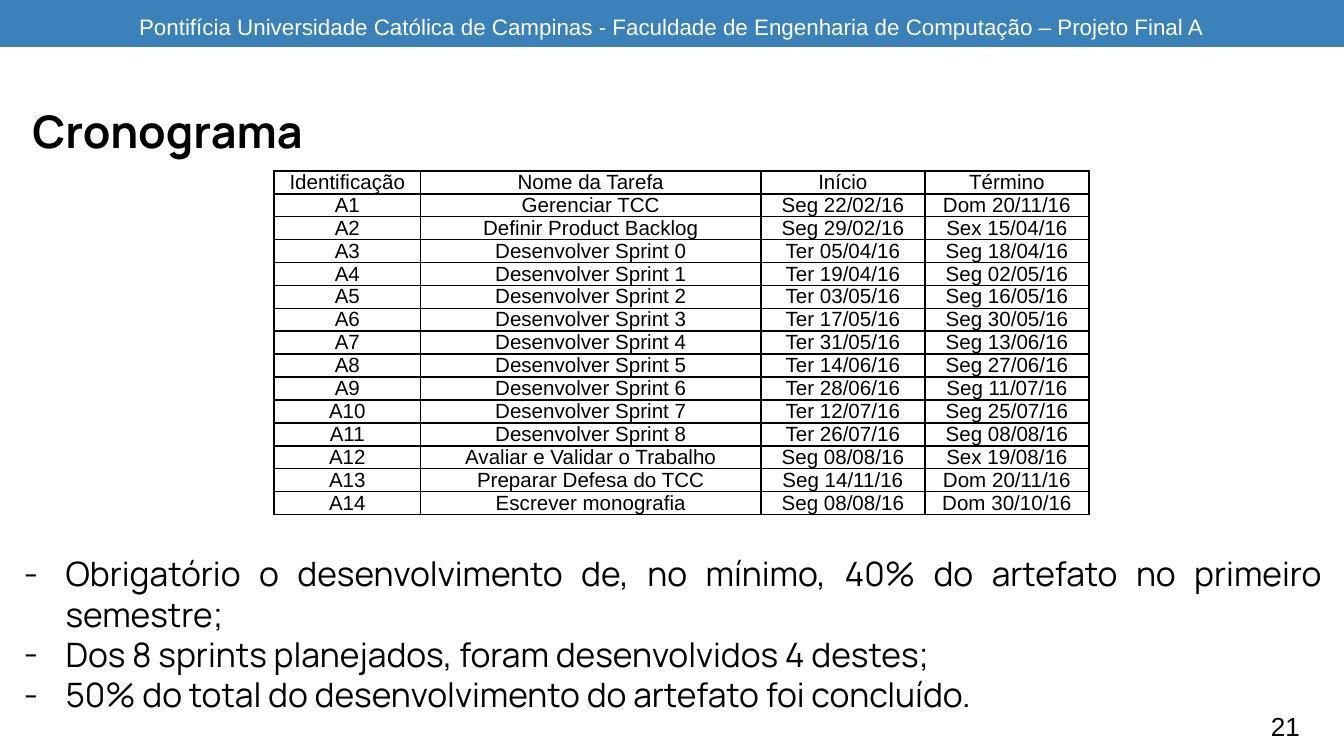
from lxml import etree
from pptx import Presentation
from pptx.dml.color import RGBColor
from pptx.enum import shapes, text
from pptx.oxml import ns
from pptx.util import Cm, Pt

BLACK, WHITE, BLUE = "000000", "FFFFFF", "3A81BA"
HEADING = "Manrope"
PLAIN = "Arial"

HEADER = ("Pontifícia Universidade Católica de Campinas - "
          "Faculdade de Engenharia de Computação – Projeto Final A")
SCHEDULE = [
    ("Gerenciar TCC", "Seg 22/02/16", "Dom 20/11/16"),
    ("Definir Product Backlog", "Seg 29/02/16", "Sex 15/04/16"),
    ("Desenvolver Sprint 0", "Ter 05/04/16", "Seg 18/04/16"),
    ("Desenvolver Sprint 1", "Ter 19/04/16", "Seg 02/05/16"),
    ("Desenvolver Sprint 2", "Ter 03/05/16", "Seg 16/05/16"),
    ("Desenvolver Sprint 3", "Ter 17/05/16", "Seg 30/05/16"),
    ("Desenvolver Sprint 4", "Ter 31/05/16", "Seg 13/06/16"),
    ("Desenvolver Sprint 5", "Ter 14/06/16", "Seg 27/06/16"),
    ("Desenvolver Sprint 6", "Ter 28/06/16", "Seg 11/07/16"),
    ("Desenvolver Sprint 7", "Ter 12/07/16", "Seg 25/07/16"),
    ("Desenvolver Sprint 8", "Ter 26/07/16", "Seg 08/08/16"),
    ("Avaliar e Validar o Trabalho", "Seg 08/08/16", "Sex 19/08/16"),
    ("Preparar Defesa do TCC", "Seg 14/11/16", "Dom 20/11/16"),
    ("Escrever monografia", "Seg 08/08/16", "Dom 30/10/16"),
]
NOTES = [
    "Obrigatório o desenvolvimento de, no mínimo, 40% do artefato no primeiro semestre;",
    "Dos 8 sprints planejados, foram desenvolvidos 4 destes;",
    "50% do total do desenvolvimento do artefato foi concluído.",
]


def color(value):
    return RGBColor.from_string(value)


def place(shape, box):
    shape.left, shape.top, shape.width, shape.height = box


def prepare(frame, anchor):
    frame.word_wrap = True
    frame.auto_size = text.MSO_AUTO_SIZE.NONE
    frame.vertical_anchor = anchor
    frame.margin_left = frame.margin_right = Cm(0.25)
    frame.margin_top = frame.margin_bottom = Cm(0.25)


def write(para, words, size, font, ink=BLACK, bold=False, align=text.PP_ALIGN.LEFT):
    para.alignment = align
    para.space_before = Pt(0)
    span = para.add_run()
    span.text = words
    span.font.size, span.font.name, span.font.bold = Pt(size), font, bold
    span.font.color.rgb = color(ink)


def add_header(page, box):
    bar = page.shapes.add_shape(shapes.MSO_SHAPE.RECTANGLE, *box)
    bar.shadow.inherit = False
    bar.fill.solid()
    bar.fill.fore_color.rgb = color(BLUE)
    bar.line.fill.background()
    prepare(bar.text_frame, text.MSO_ANCHOR.TOP)
    write(bar.text_frame.paragraphs[0], HEADER, 12, PLAIN, WHITE,
          align=text.PP_ALIGN.CENTER)


def fill_title(title, box):
    place(title, box)
    prepare(title.text_frame, text.MSO_ANCHOR.BOTTOM)
    para = title.text_frame.paragraphs[0]
    para.line_spacing = 1.15
    write(para, "Cronograma", 24, HEADING, bold=True)


def add_borders(cell):
    properties = cell._tc.get_or_add_tcPr()
    for index, side in enumerate(("a:lnL", "a:lnR", "a:lnT", "a:lnB")):
        line = etree.Element(ns.qn(side), w=str(Pt(1)))
        fill = etree.SubElement(line, ns.qn("a:solidFill"))
        etree.SubElement(fill, ns.qn("a:srgbClr"), val=BLACK)
        properties.insert(index, line)


def add_schedule(page, box):
    rows = [("Identificação", "Nome da Tarefa", "Início", "Término")]
    rows += [(f"A{number}", *task) for number, task in enumerate(SCHEDULE, 1)]
    table = page.shapes.add_table(len(rows), len(rows[0]), *box).table
    table.first_row = table.horz_banding = False
    for column, width in zip(table.columns, (2.77, 6.43, 3.1, 3.1)):
        column.width = Cm(width)
    for row, values in zip(table.rows, rows):
        for cell, value in zip(row.cells, values):
            cell.margin_left = cell.margin_right = Cm(0.18)
            cell.margin_top = cell.margin_bottom = 0
            cell.fill.background()
            add_borders(cell)
            write(cell.text_frame.paragraphs[0], value, 11, PLAIN,
                  align=text.PP_ALIGN.CENTER)


def fill_notes(body, box):
    place(body, box)
    frame = body.text_frame
    prepare(frame, text.MSO_ANCHOR.TOP)
    for index, note in enumerate(NOTES):
        para = frame.add_paragraph() if index else frame.paragraphs[0]
        properties = para._p.get_or_add_pPr()
        properties.set("marL", str(Cm(0.79)))
        properties.set("indent", str(-Cm(0.79)))
        etree.SubElement(properties, ns.qn("a:buFont"), typeface=HEADING)
        etree.SubElement(properties, ns.qn("a:buChar"), char="-")
        write(para, note, 18, HEADING, align=text.PP_ALIGN.JUSTIFY)


def add_page_number(page, box):
    number = page.shapes.add_textbox(*box)
    prepare(number.text_frame, text.MSO_ANCHOR.MIDDLE)
    write(number.text_frame.paragraphs[0], "21", 14, PLAIN)


def main():
    deck = Presentation()
    deck.slide_width, deck.slide_height = Cm(25.4), Cm(14.29)
    page = deck.slides.add_slide(deck.slide_layouts[1])
    title, body = page.placeholders
    fill_notes(body, (Cm(0.2), Cm(10.21), Cm(25.04), Cm(2.97)))
    add_page_number(page, (Cm(23.77), Cm(13.18), Cm(1.52), Cm(1.09)))
    add_schedule(page, (Cm(5.18), Cm(3.23), Cm(15.4), Cm(6.45)))
    fill_title(title, (Cm(0.36), Cm(1.45), Cm(25.04), Cm(1.78)))
    add_header(page, (0, 0, deck.slide_width, Cm(0.89)))
    deck.save("out.pptx")


if __name__ == "__main__":
    main()
